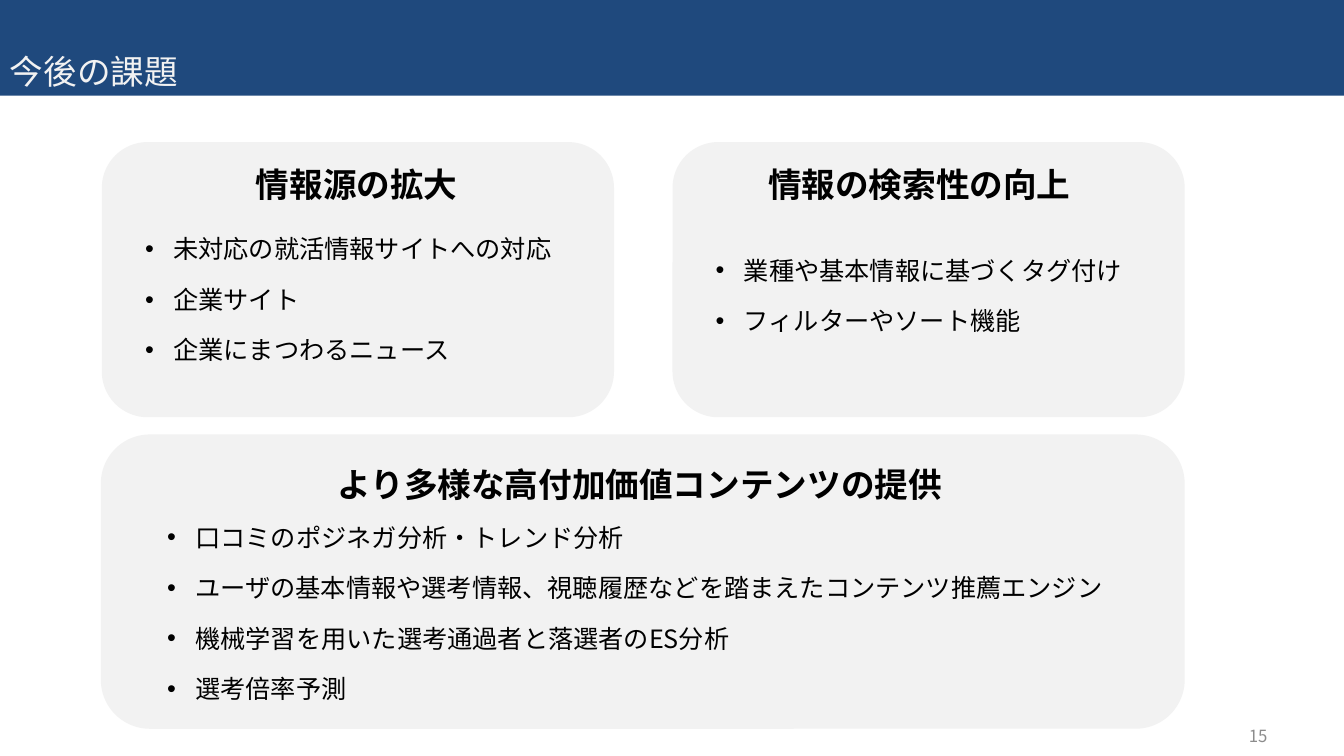
from dataclasses import dataclass

from lxml.etree import SubElement
from pptx import Presentation
from pptx.dml.color import RGBColor
from pptx.enum.shapes import MSO_SHAPE
from pptx.enum.text import MSO_ANCHOR, MSO_AUTO_SIZE, PP_ALIGN
from pptx.oxml.ns import qn
from pptx.shapes.autoshape import Shape
from pptx.slide import Slide
from pptx.text.text import _Paragraph
from pptx.util import Inches, Pt


@dataclass(frozen=True)
class Theme:
    font: str = "Noto Sans CJK JP"
    banner: RGBColor = RGBColor(0x1F, 0x49, 0x7D)
    card: RGBColor = RGBColor(0xF2, 0xF2, 0xF2)
    ink: RGBColor = RGBColor(0, 0, 0)
    muted: RGBColor = RGBColor(0x8C, 0x8C, 0x8C)
    heading_size: float = 24
    body_size: float = 18
    number_size: float = 12
    heading_leading: float = 31
    body_leading: float = 32.4
    body_gap: float = 3.6
    bullet_indent: float = 0.28


@dataclass(frozen=True)
class Box:
    left: float
    top: float
    width: float
    height: float

    def lengths(self) -> tuple[Inches, Inches, Inches, Inches]:
        return Inches(self.left), Inches(self.top), Inches(self.width), Inches(self.height)


@dataclass(frozen=True)
class Card:
    frame: Box
    heading: str
    heading_box: Box
    items: tuple[str, ...]
    items_box: Box


THEME = Theme()
SLIDE_WIDTH, SLIDE_HEIGHT = 13.33, 7.5

CARDS = (
    Card(
        Box(1.01, 1.41, 5.08, 2.73),
        "情報源の拡大",
        Box(2.44, 1.55, 2.22, 0.5),
        ("未対応の就活情報サイトへの対応", "企業サイト", "企業にまつわるニュース"),
        Box(1.34, 2.12, 4.42, 1.71),
    ),
    Card(
        Box(6.67, 1.41, 5.08, 2.73),
        "情報の検索性の向上",
        Box(7.52, 1.55, 3.23, 0.5),
        ("業種や基本情報に基づくタグ付け", "フィルターやソート機能"),
        Box(7, 2.33, 4.41, 1.76),
    ),
    Card(
        Box(1, 4.31, 10.75, 2.92),
        "より多様な高付加価値コンテンツの提供",
        Box(3.25, 4.52, 6.26, 0.5),
        (
            "口コミのポジネガ分析・トレンド分析",
            "ユーザの基本情報や選考情報、視聴履歴などを踏まえたコンテンツ推薦エンジン",
            "機械学習を用いた選考通過者と落選者のES分析",
            "選考倍率予測",
        ),
        Box(1.56, 4.98, 9.64, 2.12),
    ),
)


def add_run(paragraph: _Paragraph, text: str, size: float, color: RGBColor, bold: bool = False) -> None:
    run = paragraph.add_run()
    run.text = text
    run.font.size = Pt(size)
    run.font.bold = bold
    run.font.color.rgb = color
    run.font.name = THEME.font
    SubElement(run.font._element, qn("a:ea"), typeface=THEME.font)


def add_panel(slide: Slide, kind: MSO_SHAPE, box: Box, color: RGBColor) -> Shape:
    shape = slide.shapes.add_shape(kind, *box.lengths())
    shape.shadow.inherit = False
    shape.fill.solid()
    shape.fill.fore_color.rgb = color
    shape.line.fill.background()
    return shape


def add_banner(slide: Slide, title: str) -> None:
    banner = add_panel(slide, MSO_SHAPE.RECTANGLE, Box(0, 0, SLIDE_WIDTH, 0.95), THEME.banner)
    banner.text_frame.vertical_anchor = MSO_ANCHOR.BOTTOM
    paragraph = banner.text_frame.paragraphs[0]
    paragraph.alignment = PP_ALIGN.LEFT
    add_run(paragraph, title, THEME.heading_size, THEME.card)


def add_heading(slide: Slide, text: str, box: Box) -> None:
    frame = slide.shapes.add_textbox(*box.lengths()).text_frame
    frame.word_wrap = False
    frame.auto_size = MSO_AUTO_SIZE.SHAPE_TO_FIT_TEXT
    paragraph = frame.paragraphs[0]
    paragraph.line_spacing = Pt(THEME.heading_leading)
    add_run(paragraph, text, THEME.heading_size, THEME.ink, bold=True)


def add_bullet(paragraph: _Paragraph) -> None:
    properties = paragraph._p.get_or_add_pPr()
    properties.set("marL", str(Inches(THEME.bullet_indent)))
    properties.set("indent", str(-Inches(THEME.bullet_indent)))
    SubElement(properties, qn("a:buFont"), typeface="Arial")
    SubElement(properties, qn("a:buChar"), char="•")


def add_items(slide: Slide, items: tuple[str, ...], box: Box) -> None:
    frame = slide.shapes.add_textbox(*box.lengths()).text_frame
    frame.word_wrap = True
    for index, item in enumerate(items):
        paragraph = frame.add_paragraph() if index else frame.paragraphs[0]
        add_bullet(paragraph)
        paragraph.line_spacing = Pt(THEME.body_leading)
        if index:
            paragraph.space_before = Pt(THEME.body_gap)
        add_run(paragraph, item, THEME.body_size, THEME.ink)


def add_card(slide: Slide, card: Card) -> None:
    add_panel(slide, MSO_SHAPE.ROUNDED_RECTANGLE, card.frame, THEME.card)
    add_heading(slide, card.heading, card.heading_box)
    add_items(slide, card.items, card.items_box)


def add_page_number(slide: Slide, number: str) -> None:
    frame = slide.shapes.add_textbox(*Box(9.56, 7.1, 3.11, 0.4).lengths()).text_frame
    frame.word_wrap = True
    frame.vertical_anchor = MSO_ANCHOR.MIDDLE
    paragraph = frame.paragraphs[0]
    paragraph.alignment = PP_ALIGN.RIGHT
    add_run(paragraph, number, THEME.number_size, THEME.muted)


def main() -> None:
    presentation = Presentation()
    presentation.slide_width = Inches(SLIDE_WIDTH)
    presentation.slide_height = Inches(SLIDE_HEIGHT)
    slide = presentation.slides.add_slide(presentation.slide_layouts[6])
    add_banner(slide, "今後の課題")
    for card in CARDS:
        add_card(slide, card)
    add_page_number(slide, "15")
    presentation.save("out.pptx")


if __name__ == "__main__":
    main()
